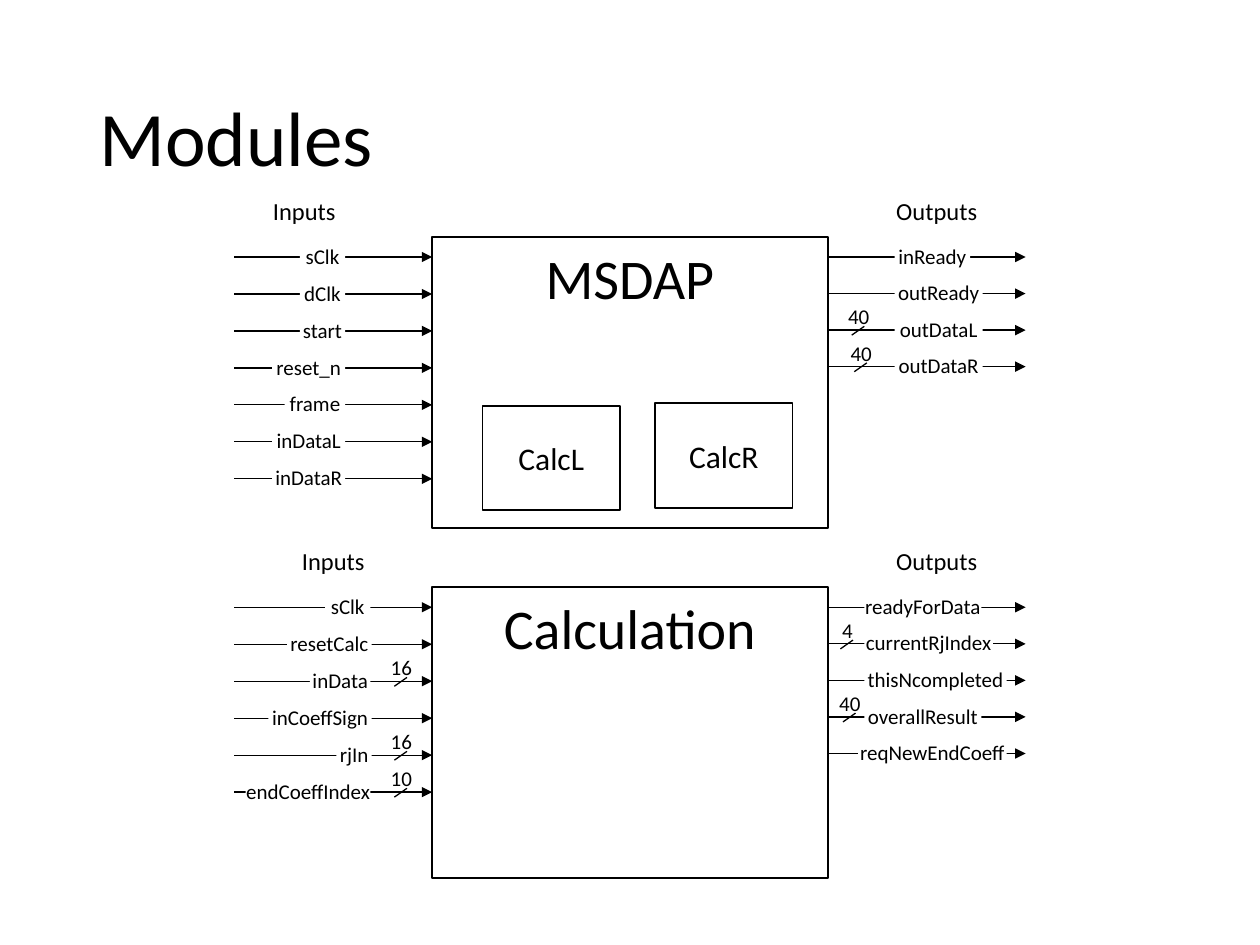
from dataclasses import dataclass
from typing import Any, Optional

from lxml import etree
from pptx import Presentation
from pptx import util as u
from pptx.dml import color
from pptx.enum import shapes, text
from pptx.oxml import ns

INK, PAPER = "000000", "FFFFFF"
LABEL_H = 0.14
BOX_LEFT, BOX_W, BOX_H = 3.43, 3.14, 2.31
WIRE_LEN = 1.57
INPUT_PITCH, OUTPUT_PITCH = 1.76 / 6, 0.29
LABEL_FRAME = {"vertical_anchor": text.MSO_ANCHOR.MIDDLE, "word_wrap": False,
               "margin_left": 0, "margin_right": 0}


@dataclass
class Signal:
    name: str
    left: float
    width: float
    bits: str = ""
    bus_x: float = 0


@dataclass
class Module:
    name: str
    top: float
    inputs_left: float
    inputs: list[Signal]
    outputs: list[Signal]


@dataclass
class Calculator:
    name: str
    left: float
    top: float


MODULES = [
    Module("MSDAP", 1.88, 2.08, [
        Signal("sClk", 2.38, 0.36),
        Signal("dClk", 2.38, 0.36),
        Signal("start", 2.38, 0.36),
        Signal("reset_n", 2.16, 0.58),
        Signal("frame", 2.26, 0.48),
        Signal("inDataL", 2.16, 0.58),
        Signal("inDataR", 2.16, 0.58),
    ], [
        Signal("inReady", 7.1, 0.6),
        Signal("outReady", 7.1, 0.7),
        Signal("outDataL", 7.1, 0.7, "40", 6.81),
        Signal("outDataR", 7.1, 0.7, "40", 6.83),
    ]),
    Module("Calculation", 4.66, 2.31, [
        Signal("sClk", 2.58, 0.36),
        Signal("resetCalc", 2.28, 0.67),
        Signal("inData", 2.46, 0.48, "16", 3.18),
        Signal("inCoeffSign", 2.13, 0.82),
        Signal("rjIn", 2.67, 0.28, "16", 3.18),
        Signal("endCoeffIndex", 1.95, 0.99, "10", 3.18),
    ], [
        Signal("readyForData", 6.86, 0.93),
        Signal("currentRjIndex", 6.86, 1.02, "4", 6.72),
        Signal("thisNcompleted", 6.86, 1.13),
        Signal("overallResult", 6.86, 0.93, "40", 6.74),
        Signal("reqNewEndCoeff", 6.81, 1.18),
    ]),
]
CALCULATORS = [Calculator("CalcL", 3.83, 3.22), Calculator("CalcR", 5.2, 3.2)]


def rgb(value: str) -> color.RGBColor:
    return color.RGBColor.from_string(value)


def apply(target: Any, values: dict[str, Any]) -> None:
    for key, value in values.items():
        setattr(target, key, value)


def write(sp: Any, words: str, size: float, align: Any, frame: dict[str, Any]) -> None:
    tf = sp.text_frame
    apply(tf, frame)
    p = tf.paragraphs[0]
    p.alignment = align
    r = p.add_run()
    r.text = words
    apply(r.font, {"size": u.Pt(size), "name": "Calibri"})
    r.font.color.rgb = rgb(INK)


def add_rect(canvas: Any, words: str, left: float, top: float, width: float,
             height: float, size: float, frame: dict[str, Any],
             fill: Optional[str] = None) -> None:
    sp = canvas.add_shape(shapes.MSO_SHAPE.RECTANGLE, u.Inches(left), u.Inches(top),
                          u.Inches(width), u.Inches(height))
    sp.shadow.inherit = False
    if fill:
        sp.fill.solid()
        sp.fill.fore_color.rgb = rgb(fill)
        sp.line.fill.background()
    else:
        sp.fill.background()
        sp.line.color.rgb = rgb(INK)
        sp.line.width = u.Pt(1)
    write(sp, words, size, text.PP_ALIGN.CENTER, frame)


def add_label(canvas: Any, words: str, left: float, top: float, width: float,
              size: float = 12) -> None:
    add_rect(canvas, words, left, top, width, LABEL_H, size, LABEL_FRAME, PAPER)


def add_line(canvas: Any, x1: float, y1: float, x2: float, y2: float,
             arrow: bool = False) -> None:
    cx = canvas.add_connector(shapes.MSO_CONNECTOR.STRAIGHT, u.Inches(x1), u.Inches(y1),
                              u.Inches(x2), u.Inches(y2))
    cx.line.color.rgb = rgb(INK)
    cx.line.width = u.Pt(0.75)
    if arrow:
        etree.SubElement(cx.line._get_or_add_ln(), ns.qn("a:tailEnd"), type="triangle")
    etree.SubElement(cx._element.spPr, ns.qn("a:effectLst"))


def add_signals(canvas: Any, signals: list[Signal], start: float, first_y: float,
                pitch: float) -> None:
    for i, signal in enumerate(signals):
        y = first_y + i * pitch
        add_line(canvas, start, y, start + WIRE_LEN, y, arrow=True)
        add_label(canvas, signal.name, signal.left, y - 0.08, signal.width)
        if signal.bits:
            x = signal.bus_x
            add_line(canvas, x - 0.05, y + 0.04, x + 0.05, y - 0.03)
            add_label(canvas, signal.bits, x - 0.13, y - 0.18, 0.27)


def add_module(canvas: Any, module: Module) -> None:
    top = module.top
    add_rect(canvas, module.name, BOX_LEFT, top, BOX_W, BOX_H, 32,
             {"vertical_anchor": text.MSO_ANCHOR.TOP, "word_wrap": True})
    add_signals(canvas, module.inputs, BOX_LEFT - WIRE_LEN, top + 0.16, INPUT_PITCH)
    add_signals(canvas, module.outputs, BOX_LEFT + BOX_W, top + 0.16, OUTPUT_PITCH)
    for heading, left in (("Inputs", module.inputs_left), ("Outputs", 7.1)):
        add_label(canvas, heading, left, top - 0.28, 0.67, 14)


prs = Presentation()
apply(prs, {"slide_width": u.Inches(10), "slide_height": u.Inches(7.5)})
s = prs.slides.add_slide(prs.slide_layouts[5])

title = s.shapes.title
apply(title, {"left": u.Inches(0.69), "top": u.Inches(0.4),
              "width": u.Inches(8.62), "height": u.Inches(1.45)})
write(title, "Modules", 44, text.PP_ALIGN.LEFT,
      {"vertical_anchor": text.MSO_ANCHOR.MIDDLE, "word_wrap": True})
title.text_frame.paragraphs[0].line_spacing = 0.9

for module in MODULES:
    add_module(s.shapes.add_group_shape().shapes, module)
for calc in CALCULATORS:
    add_rect(s.shapes, calc.name, calc.left, calc.top, 1.09, 0.83, 18,
             {"vertical_anchor": text.MSO_ANCHOR.MIDDLE, "word_wrap": True})

prs.save("out.pptx")
